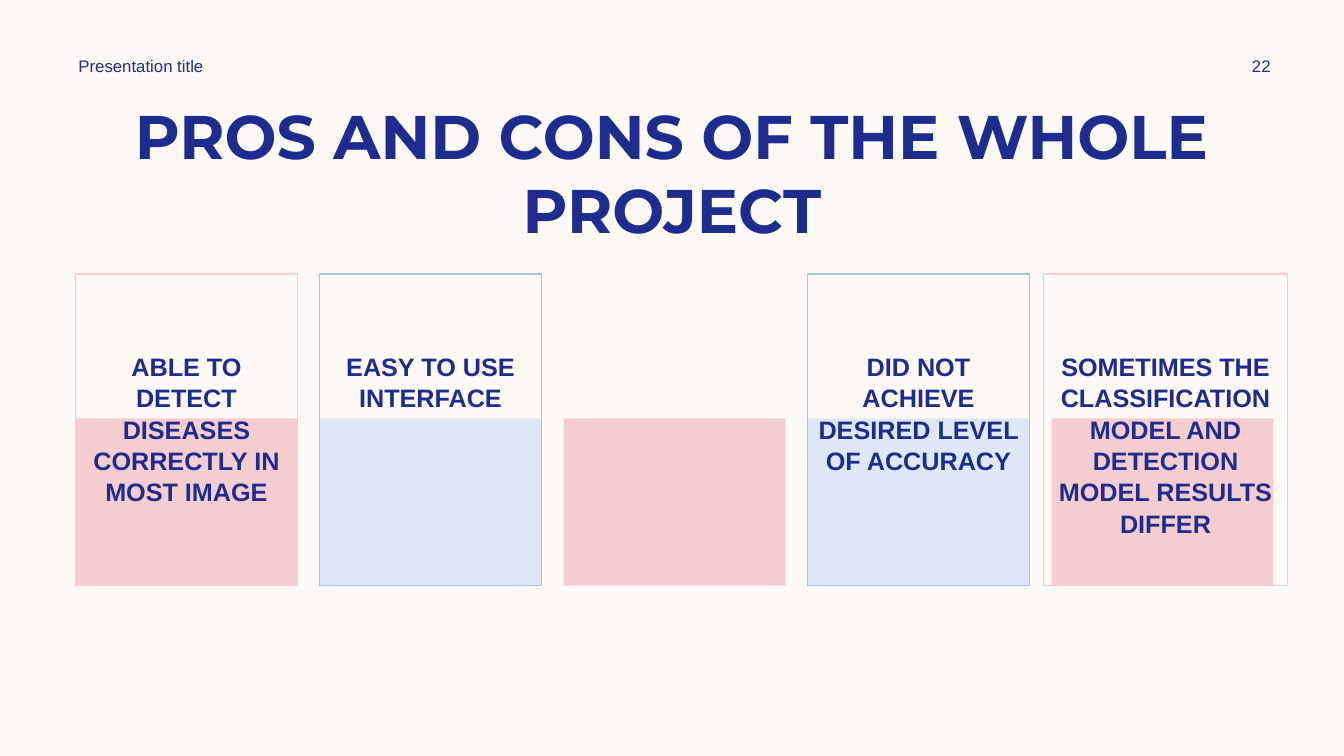
from pptx import Presentation
from pptx.dml.color import RGBColor
from pptx.enum.shapes import MSO_SHAPE
from pptx.enum.text import MSO_ANCHOR, PP_ALIGN
from pptx.util import Inches, Pt

NAVY = RGBColor(0x1F, 0x2C, 0x8F)
CREAM = RGBColor(0xFD, 0xFA, 0xF6)
PINK = RGBColor(0xF5, 0xCD, 0xCE)
PALE_BLUE = RGBColor(0xDD, 0xE7, 0xF6)
MID_BLUE = RGBColor(0xAA, 0xC3, 0xE8)

TITLE = "PROS AND CONS OF THE WHOLE PROJECT"
HEADER = "Presentation title"
PAGE = "22"
# column, side overhang (left, right), border, paragraphs
CARDS = [
    (0, (0, 0), PINK, ["ABLE TO DETECT", "DISEASES CORRECTLY IN MOST IMAGE"]),
    (1, (0, 0), MID_BLUE, ["EASY TO USE INTERFACE"]),
    (3, (0, 0), MID_BLUE, ["DID NOT ACHIEVE DESIRED LEVEL OF ACCURACY"]),
    (4, (0.08, 0.14), PINK, ["SOMETIMES THE CLASSIFICATION MODEL AND "
                             "DETECTION MODEL RESULTS DIFFER"]),
]
BLOCK_FILLS = [PINK, PALE_BLUE, PINK, PALE_BLUE, PINK]

LEFT, PITCH, WIDTH = 0.75, 2.42, 2.2
CARD_TOP, BLOCK_TOP, BOTTOM = 2.72, 4.15, 5.81

HEADER_FONT = {"name": "Arial", "size": Pt(12)}
TITLE_FONT = {"name": "Montserrat", "size": Pt(44), "bold": True}
CARD_FONT = {"name": "Arial", "size": Pt(18), "bold": True}


def column_x(column):
    return LEFT + column * PITCH


def write(tf, paragraphs, font, align, spacing=1.0):
    tf.word_wrap = True
    for i, text in enumerate(paragraphs):
        p = tf.paragraphs[0] if i == 0 else tf.add_paragraph()
        p.alignment = align
        p.line_spacing = spacing
        r = p.add_run()
        r.text = text
        for name, value in font.items():
            setattr(r.font, name, value)
        r.font.color.rgb = NAVY


def add_text(slide, box, text, font, align, anchor):
    tf = slide.shapes.add_textbox(*map(Inches, box)).text_frame
    tf.vertical_anchor = anchor
    write(tf, [text], font, align)


def add_rect(slide, x, y, width, fill=None, border=None):
    """Add a rectangle from y down to the shared bottom edge."""
    sp = slide.shapes.add_shape(
        MSO_SHAPE.RECTANGLE, *map(Inches, (x, y, width, BOTTOM - y)))
    sp.shadow.inherit = False
    for part, color in ((sp.fill, fill), (sp.line.fill, border)):
        if color is None:
            part.background()
        else:
            part.solid()
            part.fore_color.rgb = color
    if border is not None:
        sp.line.width = Pt(1)
    return sp


def add_card(slide, column, overhang, border, paragraphs):
    left, right = overhang
    sp = add_rect(slide, column_x(column) - left, CARD_TOP,
                  WIDTH + left + right, border=border)
    tf = sp.text_frame
    tf.vertical_anchor = MSO_ANCHOR.TOP
    tf.margin_top = Inches(0.75)
    write(tf, paragraphs, CARD_FONT, PP_ALIGN.CENTER, spacing=1.04)


def main():
    prs = Presentation()
    prs.slide_width, prs.slide_height = Inches(13.33), Inches(7.5)
    s = prs.slides.add_slide(prs.slide_layouts[6])
    s.background.fill.solid()
    s.background.fill.fore_color.rgb = CREAM

    for column, fill in enumerate(BLOCK_FILLS):
        add_rect(s, column_x(column), BLOCK_TOP, WIDTH, fill=fill)
    add_text(s, (0.83, 0.92, 11.67, 0.84), TITLE, TITLE_FONT,
             PP_ALIGN.CENTER, MSO_ANCHOR.TOP)
    add_text(s, (0.68, 0.5, 3.5, 0.3), HEADER, HEADER_FONT,
             PP_ALIGN.LEFT, MSO_ANCHOR.MIDDLE)
    add_text(s, (11.97, 0.5, 1.08, 0.3), PAGE, HEADER_FONT,
             PP_ALIGN.CENTER, MSO_ANCHOR.MIDDLE)
    for card in CARDS:
        add_card(s, *card)
    prs.save("out.pptx")


if __name__ == "__main__":
    main()
